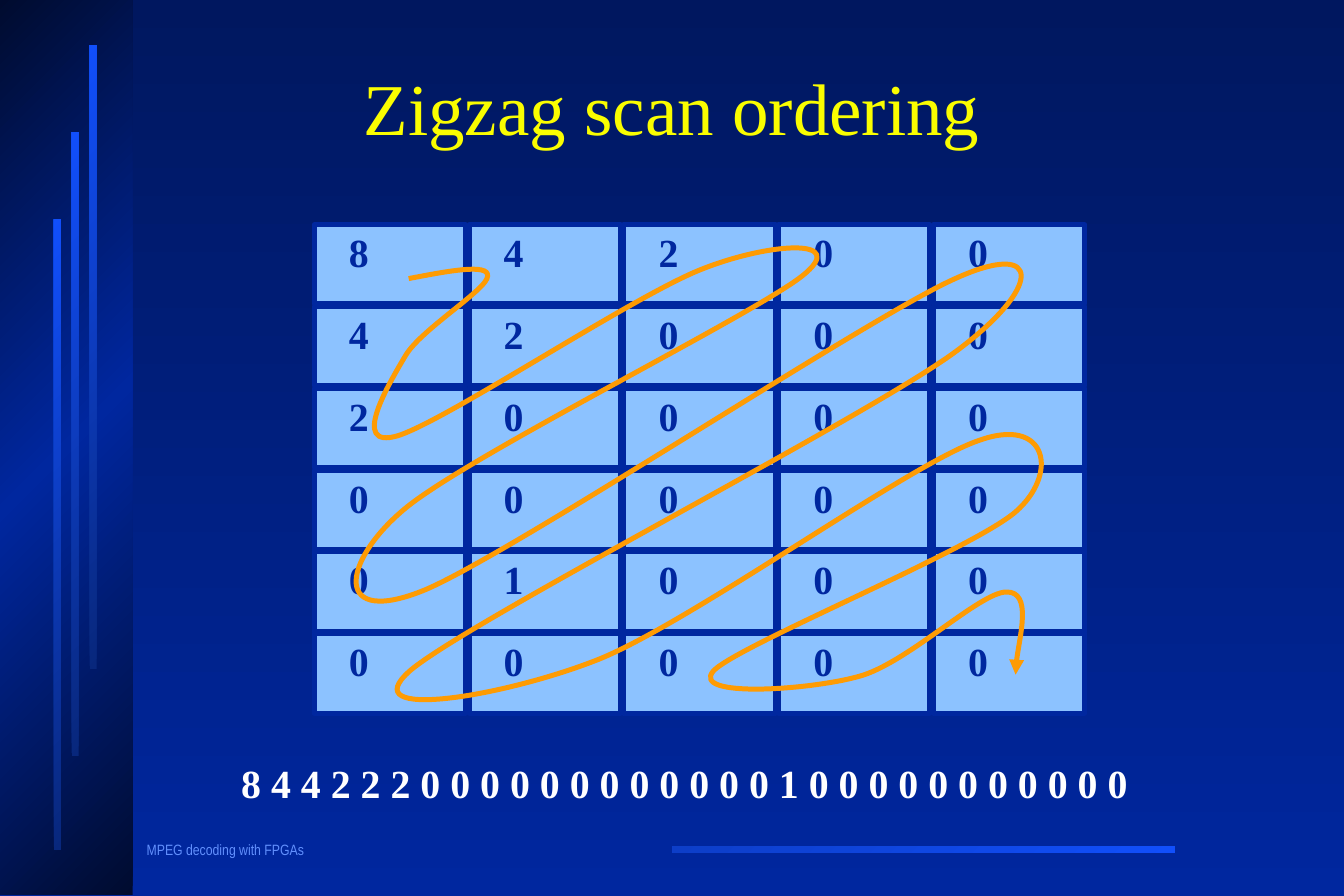
import copy
import dataclasses
import pptx
import pptx.dml.color
import pptx.enum.shapes
import pptx.enum.text
import pptx.oxml
import pptx.oxml.ns
import pptx.util

RGBColor = pptx.dml.color.RGBColor
NIGHT = RGBColor(0x00, 0x0B, 0x2F)
DEEP_BLUE = RGBColor(0x00, 0x17, 0x5F)
BLUE = RGBColor(0x00, 0x27, 0x9F)
DIM_BLUE = RGBColor(0x08, 0x27, 0x7C)
MID_BLUE = RGBColor(0x0D, 0x3E, 0xC8)
BRIGHT_BLUE = RGBColor(0x11, 0x4F, 0xFB)
FOOTER_BLUE = RGBColor(0x61, 0x8F, 0xFD)
CELL_BLUE = RGBColor(0x8C, 0xC2, 0xFF)
YELLOW = RGBColor(0xFA, 0xFD, 0x00)
ORANGE = RGBColor(0xFE, 0x9B, 0x03)
WHITE = RGBColor(0xFF, 0xFF, 0xFF)
SERIF = "Times New Roman"
NARROW = "Arial Narrow"

SLIDE_WIDTH = pptx.util.Inches(11.25)
SLIDE_HEIGHT = pptx.util.Inches(7.5)
COLUMN = SLIDE_WIDTH / 100
ROW = SLIDE_HEIGHT / 100

COEFFICIENTS = ["84200", "42000", "20000", "00000", "01000", "00000"]
SEQUENCE = "8 4 4 2 2 2 0 0 0 0 0 0 0 0 0 0 0 0 1 0 0 0 0 0 0 0 0 0 0 0"
CELL_GAP = 0.27
SCAN_START = (0.61, 0.66)
SCAN_POINTS = [
    (0.86, 0.57), (1.13, 0.47), (1.12, 0.63), (1.12, 0.79), (0.69, 1.28), (0.59, 1.6),
    (0.49, 1.92), (0.22, 2.76), (0.54, 2.58), (0.86, 2.39), (2.07, 0.86), (2.51, 0.54),
    (2.94, 0.22), (3.47, 0.15), (3.15, 0.63), (2.82, 1.12), (0.98, 2.84), (0.58, 3.48),
    (0.17, 4.13), (0.12, 4.93), (0.72, 4.46), (1.31, 3.98), (3.57, 1.14), (4.14, 0.66),
    (4.71, 0.17), (4.71, 0.77), (4.13, 1.57), (3.54, 2.38), (1.0, 4.84), (0.62, 5.45),
    (0.24, 6.08), (1.23, 5.77), (1.84, 5.31), (2.45, 4.84), (3.84, 2.93), (4.29, 2.64),
    (4.74, 2.33), (4.81, 3.05), (4.53, 3.51), (4.24, 3.98), (2.75, 5.13), (2.58, 5.45),
    (2.42, 5.79), (3.2, 5.69), (3.52, 5.52), (3.83, 5.36), (4.3, 4.49), (4.47, 4.49),
    (4.64, 4.48), (4.52, 5.32), (4.53, 5.5),
]

@dataclasses.dataclass
class Box:
    """A region in columns and rows, each a hundredth of the slide."""
    left: float
    top: float
    width: float
    height: float

    def emu(self):
        """Return left, top, width and height in EMU."""
        return (round(self.left * COLUMN), round(self.top * ROW),
                round(self.width * COLUMN), round(self.height * ROW))

def paint_gradient(fill, owner, colours, angle):
    """Fill with evenly spaced colours at a clockwise angle."""
    fill.gradient()
    fill.gradient_angle = 360 - angle
    stop_list = next(owner.iter(pptx.oxml.ns.qn("a:gsLst")))
    while len(stop_list) < len(colours):
        stop_list.append(copy.deepcopy(stop_list[-1]))
    for index, (stop, colour) in enumerate(zip(fill.gradient_stops, colours)):
        stop.color.rgb = colour
        stop.position = index / (len(colours) - 1)

def style_text(paragraph, font_name, size, colour, bold=False):
    """Format the runs of a paragraph."""
    for run in paragraph.runs:
        run.font.name = font_name
        run.font.size = pptx.util.Pt(size)
        run.font.color.rgb = colour
        run.font.bold = bold

def add_rectangle(slide, box):
    """Add a rectangle without shadow."""
    rectangle = slide.shapes.add_shape(pptx.enum.shapes.MSO_SHAPE.RECTANGLE, *box.emu())
    rectangle.shadow.inherit = False
    return rectangle

def add_band(slide, box, colours):
    """Add a borderless band with a diagonal gradient."""
    band = add_rectangle(slide, box)
    band.line.fill.background()
    paint_gradient(band.fill, band._element, colours, 225)

def add_line_of_text(slide, box, text, font_name, size, colour, bold=False):
    """Add a single unwrapped line and return its paragraph."""
    frame = slide.shapes.add_textbox(*box.emu()).text_frame
    frame.word_wrap = False
    frame.auto_size = pptx.enum.text.MSO_AUTO_SIZE.SHAPE_TO_FIT_TEXT
    frame.text = text
    style_text(frame.paragraphs[0], font_name, size, colour, bold)
    return frame.paragraphs[0]

def add_side_panel(slide, box):
    """Draw the dark panel with three rising bars."""
    add_band(slide, box, [NIGHT, BLUE, NIGHT])
    for step, height in enumerate([70.4, 69.6, 69.6]):
        bar = Box(box.left + 4 + 1.33 * step, box.top + 24.5 - 9.73 * step, 0.53, height)
        add_band(slide, bar, [DIM_BLUE, BRIGHT_BLUE])

def add_footer(slide, box):
    """Place the lecture name and the bright rule."""
    footer = Box(box.left, box.top, 13.6, box.height)
    lecture = add_line_of_text(slide, footer, "MPEG decoding with FPGAs", NARROW, 9, FOOTER_BLUE)
    lecture.line_spacing = 0.9
    rule = Box(box.left + box.width - 37.4, box.top + 1.12, 37.4, 0.75)
    add_band(slide, rule, [BRIGHT_BLUE, MID_BLUE])

def add_title(slide, box):
    """Fill and place the title placeholder."""
    title = slide.shapes.title
    title.left, title.top, title.width, title.height = box.emu()
    frame = title.text_frame
    frame.text = "Zigzag scan ordering"
    frame.auto_size = pptx.enum.text.MSO_AUTO_SIZE.NONE
    frame.vertical_anchor = pptx.enum.text.MSO_ANCHOR.MIDDLE
    frame.paragraphs[0].alignment = pptx.enum.text.PP_ALIGN.CENTER
    frame.paragraphs[0].line_spacing = 0.85
    style_text(frame.paragraphs[0], SERIF, 44, YELLOW)

def add_coefficient(slide, box, value):
    """Draw one cell of the block with its value."""
    cell = add_rectangle(slide, box)
    cell.fill.solid()
    cell.fill.fore_color.rgb = CELL_BLUE
    cell.line.color.rgb = BLUE
    cell.line.width = pptx.util.Pt(3)
    frame = cell.text_frame
    frame.margin_left = round(2.58 * COLUMN)
    frame.margin_top = round(0.35 * ROW)
    frame.vertical_anchor = pptx.enum.text.MSO_ANCHOR.TOP
    frame.text = value
    frame.paragraphs[0].alignment = pptx.enum.text.PP_ALIGN.LEFT
    style_text(frame.paragraphs[0], SERIF, 24, BLUE, True)

def add_scan_curve(slide, box, pitch_x, pitch_y):
    """Draw the zigzag arrow, measured in cells from the corner of the box."""
    start, *points = [
        (round((box.left + x * pitch_x) * COLUMN), round((box.top + y * pitch_y) * ROW))
        for x, y in [SCAN_START, *SCAN_POINTS]]
    builder = slide.shapes.build_freeform(*start, scale=1.0)
    builder.add_line_segments(points, close=False)
    scan = builder.convert_to_shape()
    scan.shadow.inherit = False
    scan.fill.background()
    scan.line.color.rgb = ORANGE
    scan.line.width = pptx.util.Pt(3)
    qn, namespace = pptx.oxml.ns.qn, pptx.oxml.ns.nsdecls("a")
    segments = list(scan._element.iter(qn("a:lnTo")))
    for first in range(0, len(segments), 3):
        bend = pptx.oxml.parse_xml(f"<a:cubicBezTo {namespace}/>")
        segments[first].addprevious(bend)
        for segment in segments[first:first + 3]:
            bend.append(segment[0])
            segment.getparent().remove(segment)
    arrowhead = pptx.oxml.parse_xml(f"<a:tailEnd {namespace} type='triangle'/>")
    scan._element.spPr.find(qn("a:ln")).append(arrowhead)

def add_block(slide, box):
    """Lay out the coefficient block and the scan over it."""
    pitch_x = (box.width + CELL_GAP) / len(COEFFICIENTS[0])
    pitch_y = (box.height + CELL_GAP) / len(COEFFICIENTS)
    for row, values in enumerate(COEFFICIENTS):
        for column, value in enumerate(values):
            cell = Box(box.left + column * pitch_x, box.top + row * pitch_y,
                       pitch_x - CELL_GAP, pitch_y - CELL_GAP)
            add_coefficient(slide, cell, value)
    add_scan_curve(slide, box, pitch_x, pitch_y)

def main():
    """Build the slide and save it."""
    deck = pptx.Presentation()
    deck.slide_width, deck.slide_height = SLIDE_WIDTH, SLIDE_HEIGHT
    slide = deck.slides.add_slide(deck.slide_layouts[5])
    paint_gradient(slide.background.fill, slide._element, [DEEP_BLUE, BLUE], 90)
    add_footer(slide, Box(10.04, 93.33, 77.4, 3.07))
    add_side_panel(slide, Box(0, 0, 9.87, 99.87))
    add_title(slide, Box(10.31, 4.27, 79.38, 16.67))
    add_block(slide, Box(23.38, 25.07, 57.33, 54.53))
    sequence_box = Box(17.07, 84, 67.8, 6.67)
    add_line_of_text(slide, sequence_box, SEQUENCE, SERIF, 24, WHITE, True)
    deck.save("out.pptx")

if __name__ == "__main__":
    main()
